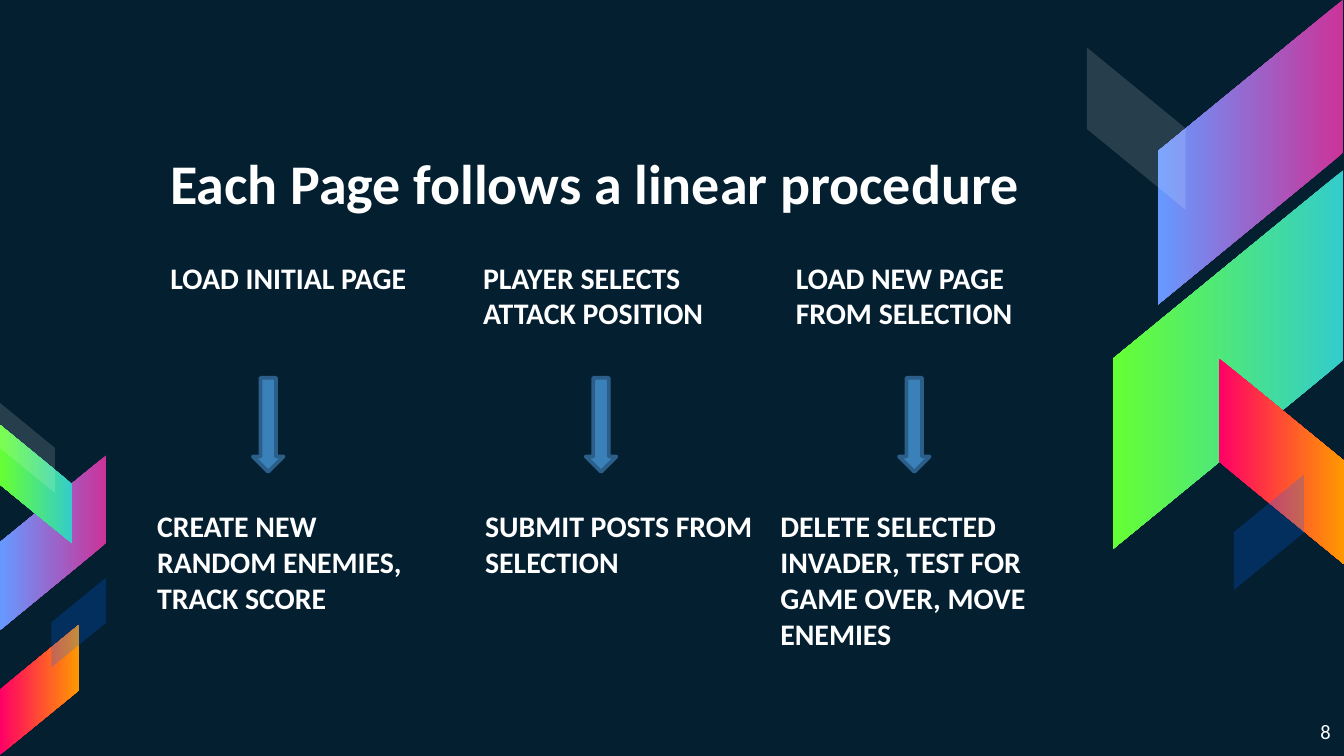
from dataclasses import dataclass

import pptx
import pptx.dml.color
import pptx.enum.shapes
import pptx.enum.text
import pptx.oxml.ns
import pptx.util
from pptx.util import Cm

COLORS = {
    "background": "041F30",
    "text": "FFFFFF",
    "arrow": "3A81BA",
    "arrow_line": "2B5F8A",
    "pink": "CC3399",
    "periwinkle": "6699FF",
    "teal": "33CCCC",
    "lime": "66FF33",
    "red": "FF0066",
    "orange": "FF9900",
    "white": "FFFFFF",
    "blue": "0066FF",
}
FONT = "Calibri"
RIBBON_RATIO = 0.608
RIBBON_SLANT = 0.819
TEXT_INSET = 0.25


@dataclass
class Ribbon:
    """Slanted band; lengths in cm, before rotation."""
    left: float
    top: float
    length: float
    rotation: int
    flipped: bool
    colors: tuple[str, ...]
    opacity: int = 100


@dataclass
class Label:
    """Text block; lengths in cm, size in points."""
    text: str
    left: float
    top: float
    width: float
    height: float
    size: int = 16
    bold: bool = True
    space_before: int = 6
    anchor: pptx.enum.text.MSO_ANCHOR = pptx.enum.text.MSO_ANCHOR.TOP
    alignment: pptx.enum.text.PP_ALIGN = pptx.enum.text.PP_ALIGN.LEFT


@dataclass
class Step:
    """One column: upper text, arrow and lower text."""
    before: str
    after: str
    before_height: float
    arrow_left: float
    after_left: float


RIBBONS = [
    # Right side
    Ribbon(20.75, 1.12, 5.77, 90, True, ("pink", "periwinkle")),
    Ribbon(19.63, 4.62, 7.16, 90, True, ("teal", "lime")),
    Ribbon(22.28, 7.54, 3.89, 270, False, ("red", "orange")),
    Ribbon(19.94, 1.5, 3.07, 270, False, ("white",), 14),
    Ribbon(22.89, 9.4, 2.18, 270, True, ("blue",), 23),
    # Left side
    Ribbon(-0.64, 9.25, 3.3, 90, True, ("pink", "periwinkle")),
    Ribbon(-0.43, 8.48, 2.24, 90, False, ("teal", "lime")),
    Ribbon(-0.48, 12.29, 2.46, 270, True, ("red", "orange")),
    Ribbon(-0.33, 7.95, 1.7, 270, False, ("white",), 14),
    Ribbon(0.64, 11.25, 1.7, 270, True, ("blue",), 23),
]

STEPS = [
    Step("LOAD INITIAL PAGE", "CREATE NEW RANDOM ENEMIES, TRACK SCORE",
         3.56, 4.78, 2.72),
    Step("PLAYER SELECTS ATTACK POSITION", "SUBMIT POSTS FROM SELECTION",
         3.56, 11.07, 8.92),
    Step("LOAD NEW PAGE FROM SELECTION",
         "DELETE SELECTED INVADER, TEST FOR GAME OVER, MOVE ENEMIES",
         9.02, 16.99, 14.5),
]
COLUMN_LEFT, COLUMN_PITCH, COLUMN_WIDTH = 2.97, 5.91, 5.61


def rgb(name: str) -> pptx.dml.color.RGBColor:
    return pptx.dml.color.RGBColor.from_string(COLORS[name])


def draw_ribbon(slide: pptx.slide.Slide, ribbon: Ribbon) -> None:
    shape = slide.shapes.add_shape(
        pptx.enum.shapes.MSO_SHAPE.PARALLELOGRAM, Cm(ribbon.left), Cm(ribbon.top),
        Cm(ribbon.length), Cm(ribbon.length * RIBBON_RATIO))
    shape.shadow.inherit = False
    shape.adjustments[0] = RIBBON_SLANT
    shape.rotation = ribbon.rotation
    if ribbon.flipped:
        shape._element.spPr.xfrm.set("flipH", "1")
    shape.line.fill.background()
    if len(ribbon.colors) == 2:
        shape.fill.gradient()
        shape.fill.gradient_angle = 270
        for stop, name in zip(shape.fill.gradient_stops, ribbon.colors):
            stop.color.rgb = rgb(name)
    else:
        shape.fill.solid()
        shape.fill.fore_color.rgb = rgb(ribbon.colors[0])
        color = shape._element.spPr.find(".//" + pptx.oxml.ns.qn("a:srgbClr"))
        alpha = pptx.oxml.parse_xml(
            f'<a:alpha {pptx.oxml.ns.nsdecls("a")} val="{ribbon.opacity * 1000}"/>')
        color.append(alpha)


def draw_label(slide: pptx.slide.Slide, label: Label) -> None:
    box = slide.shapes.add_textbox(
        Cm(label.left), Cm(label.top), Cm(label.width), Cm(label.height))
    frame = box.text_frame
    frame.word_wrap = True
    frame.vertical_anchor = label.anchor
    frame.margin_left = frame.margin_right = Cm(TEXT_INSET)
    frame.margin_top = frame.margin_bottom = Cm(TEXT_INSET)
    paragraph = frame.paragraphs[0]
    paragraph.text = label.text
    paragraph.alignment = label.alignment
    paragraph.space_before = pptx.util.Pt(label.space_before)
    paragraph.font.name = FONT
    paragraph.font.size = pptx.util.Pt(label.size)
    paragraph.font.bold = label.bold
    paragraph.font.color.rgb = rgb("text")


def draw_arrow(slide: pptx.slide.Slide, left: float) -> None:
    arrow = slide.shapes.add_shape(
        pptx.enum.shapes.MSO_SHAPE.DOWN_ARROW, Cm(left), Cm(7.14), Cm(0.58), Cm(1.78))
    arrow.shadow.inherit = False
    arrow.fill.solid()
    arrow.fill.fore_color.rgb = rgb("arrow")
    arrow.line.color.rgb = rgb("arrow_line")
    arrow.line.width = pptx.util.Pt(2)


def main() -> None:
    presentation = pptx.Presentation()
    presentation.slide_width = Cm(25.4)
    presentation.slide_height = Cm(14.29)
    slide = presentation.slides.add_slide(presentation.slide_layouts[6])
    slide.background.fill.solid()
    slide.background.fill.fore_color.rgb = rgb("background")

    # Decorative ribbons
    for ribbon in RIBBONS:
        draw_ribbon(slide, ribbon)

    # Title
    draw_label(slide, Label(
        "Each Page follows a linear procedure", COLUMN_LEFT, 2.54, 18.8, 1.78,
        size=30, space_before=0, anchor=pptx.enum.text.MSO_ANCHOR.BOTTOM))

    # Procedure columns
    for index, step in enumerate(STEPS):
        left = COLUMN_LEFT + index * COLUMN_PITCH
        draw_label(slide, Label(step.before, left, 4.65, COLUMN_WIDTH, step.before_height))
        draw_arrow(slide, step.arrow_left)
        draw_label(slide, Label(step.after, step.after_left, 9.35, COLUMN_WIDTH, 3.56))

    # Page number
    draw_label(slide, Label(
        "8", 23.77, 13.36, 1.63, 0.91, size=11, bold=False, space_before=0,
        alignment=pptx.enum.text.PP_ALIGN.RIGHT))

    presentation.save("out.pptx")


if __name__ == "__main__":
    main()
